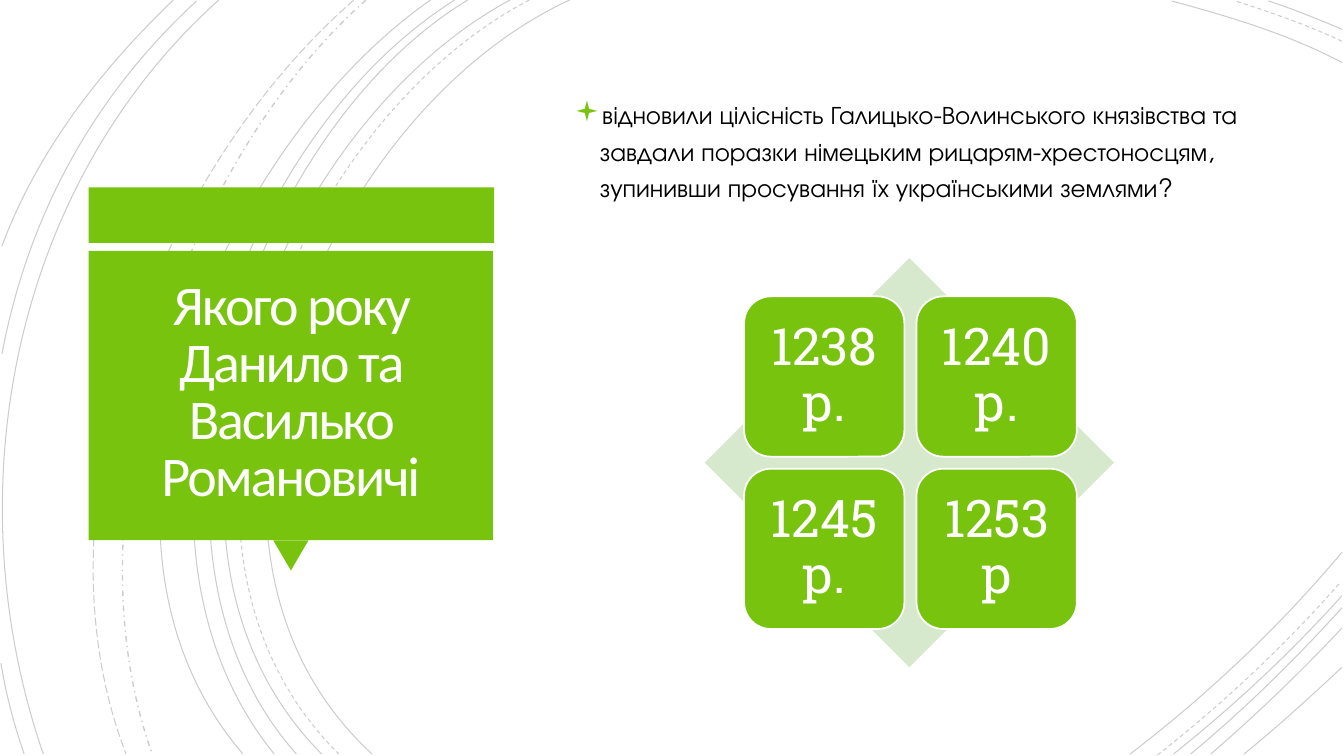
import pptx
import pptx.dml.color
import pptx.enum.dml
import pptx.enum.shapes
import pptx.enum.text
import pptx.oxml
import pptx.oxml.ns
import pptx.util
from dataclasses import dataclass
from lxml import etree

Inches = pptx.util.Inches
Pt = pptx.util.Pt
qn = pptx.oxml.ns.qn
Shape = pptx.enum.shapes.MSO_SHAPE
Dash = pptx.enum.dml.MSO_LINE
Align = pptx.enum.text.PP_ALIGN
Anchor = pptx.enum.text.MSO_ANCHOR


@dataclass(frozen=True)
class Theme:
    green: str = "78C30D"
    pale_green: str = "D6E9CC"
    white: str = "FFFFFF"
    title_white: str = "FFFEFF"
    black: str = "000000"
    title_size: int = 40
    body_size: int = 18
    answer_size: int = 37
    title_font: str = "Calibri"
    body_font: str = "TeX Gyre Adventor"
    answer_font: str = "Roboto Slab"


theme = Theme()
rgb = pptx.dml.color.RGBColor.from_string

presentation = pptx.Presentation()
presentation.slide_width = Inches(13.33)
presentation.slide_height = Inches(7.5)
slide = presentation.slides.add_slide(presentation.slide_layouts[6])
slide.background.fill.solid()
slide.background.fill.fore_color.rgb = rgb(theme.white)


def add_block(preset, left, top, width, height, color):
    shape = slide.shapes.add_shape(
        preset, Inches(left), Inches(top), Inches(width), Inches(height))
    shape.shadow.inherit = False
    shape.fill.solid()
    shape.fill.fore_color.rgb = rgb(color)
    shape.line.fill.background()
    return shape


def write_text(shape, text, *, size, font, color, align=Align.LEFT, anchor=Anchor.TOP,
               line_spacing=1.0, insets=(0.1, 0.05), tracking=None, bullet=None):
    frame = shape.text_frame
    frame.word_wrap = True
    frame.vertical_anchor = anchor
    frame.margin_left = frame.margin_right = Inches(insets[0])
    frame.margin_top = frame.margin_bottom = Inches(insets[1])
    paragraph = frame.paragraphs[0]
    paragraph.alignment = align
    paragraph.line_spacing = line_spacing
    if bullet:
        properties = paragraph._p.get_or_add_pPr()
        properties.set("marL", str(Inches(0.25)))
        properties.set("indent", str(Inches(-0.25)))
        namespace = pptx.oxml.ns.nsdecls("a")
        for element in (
            f'<a:buClr {namespace}><a:srgbClr val="{theme.green}"/></a:buClr>',
            f'<a:buSzPct {namespace} val="110000"/>',
            f'<a:buFont {namespace} typeface="Wingdings" charset="2"/>',
            f'<a:buChar {namespace} char="{bullet}"/>',
        ):
            properties.append(pptx.oxml.parse_xml(element))
    run = paragraph.add_run()
    run.text = text
    run.font.size = Pt(size)
    run.font.name = font
    run.font.color.rgb = rgb(color)
    if tracking is not None:
        run._r.get_or_add_rPr().set("spc", str(round(tracking * 100)))


# Background arcs: start, two control points and end of each cubic curve
solid_arcs = [
    ((5.65, 0), (3.15, 1.15), (1.43, 5.4), (3.69, 7.48)),
    ((13.31, 0.62), (12.78, 0.34), (12.18, 0.16), (11.62, 0.01)),
    ((11.21, 7.48), (11.97, 6.9), (12.69, 6.22), (13.31, 5.48)),
    ((5.06, 0), (2.7, 1.27), (1.1, 5.37), (3.19, 7.48)),
    ((13.31, 0.29), (13.07, 0.19), (12.83, 0.09), (12.58, 0.01)),
    ((11.64, 7.48), (12.23, 7.01), (12.8, 6.48), (13.31, 5.91)),
    ((4.64, 0), (2.44, 1.33), (1.1, 5.41), (2.94, 7.48)),
    ((11.81, 7.48), (12.34, 7.04), (12.84, 6.55), (13.31, 6.03)),
    ((4.51, 0), (2.31, 1.38), (0.97, 5.33), (2.72, 7.48)),
    ((12.01, 7.48), (12.46, 7.09), (12.9, 6.67), (13.31, 6.23)),
    ((4.27, 0), (2.17, 1.47), (0.53, 5.29), (2.41, 7.48)),
    ((12.34, 7.48), (12.67, 7.21), (12.99, 6.92), (13.31, 6.62)),
    ((2.17, 0), (0.11, 1.85), (-0.46, 4.9), (0.43, 7.48)),
    ((1.95, 0.01), (0.92, 0.96), (0.28, 2.14), (0.02, 3.51)),
    ((0.01, 6.58), (0.06, 6.89), (0.14, 7.19), (0.24, 7.48)),
    ((1.72, 0), (1, 0.69), (0.37, 1.5), (0.02, 2.44)),
]
dashed_arcs = [
    ((5.25, 0), (2.85, 1.25), (1.23, 5.37), (3.36, 7.48)),
    ((13.31, 0.41), (12.97, 0.25), (12.6, 0.12), (12.25, 0.01)),
    ((11.48, 7.49), (12.13, 6.98), (12.75, 6.4), (13.3, 5.77)),
]
dash_dot_arcs = [((3.63, 0), (1.76, 1.66), (0.65, 5.09), (1.51, 7.48))]
long_dash_arcs = [((3.51, 0), (1.57, 1.69), (0.29, 4.99), (1.25, 7.48))]

for arcs, dash, weight in (
    (solid_arcs, Dash.SOLID, 0.75),
    (dashed_arcs, Dash.DASH, 0.75),
    (dash_dot_arcs, Dash.DASH_DOT, 1),
    (long_dash_arcs, Dash.LONG_DASH, 0.75),
):
    for controls in arcs:
        points = [(Inches(x), Inches(y)) for x, y in controls]
        builder = slide.shapes.build_freeform(*points[0])
        builder.add_line_segments(points[1:], close=False)
        arc = builder.convert_to_shape()
        # Join the three segments into one cubic curve
        outline = arc._element.find(".//" + qn("a:path"))
        segments = outline.findall(qn("a:lnTo"))
        curve = etree.SubElement(outline, qn("a:cubicBezTo"))
        for segment in segments:
            curve.append(segment[0])
            outline.remove(segment)
        arc.shadow.inherit = False
        arc.fill.background()
        arc.line.width = Pt(weight)
        arc.line.color.rgb = rgb(theme.black)
        arc.line.dash_style = dash
        line_color = arc.line._ln.find(".//" + qn("a:srgbClr"))
        etree.SubElement(line_color, qn("a:alpha"), val="20000")

# Title panel with a pointer below
add_block(Shape.RECTANGLE, 0.88, 1.86, 4.02, 0.55, theme.green)
pointer = add_block(Shape.ISOSCELES_TRIANGLE, 2.71, 5.36, 0.35, 0.3, theme.green)
pointer.rotation = 180
add_block(Shape.RECTANGLE, 0.88, 2.49, 4.01, 2.87, theme.green)
title = slide.shapes.add_textbox(Inches(0.97), Inches(2.56), Inches(3.83), Inches(2.7))
write_text(title, "Якого року Данило та Василько Романовичі",
           size=theme.title_size, font=theme.title_font, color=theme.title_white,
           align=Align.CENTER, anchor=Anchor.MIDDLE, line_spacing=0.85,
           insets=(0.1, 0.1), tracking=-1.5)

# Question
question = slide.shapes.add_textbox(Inches(5.6), Inches(0.88), Inches(6.86), Inches(2.61))
write_text(question,
           "відновили цілісність Галицько-Волинського князівства та завдали поразки "
           "німецьким рицарям-хрестоносцям, зупинивши просування їх українськими землями?",
           size=theme.body_size, font=theme.body_font, color=theme.black,
           line_spacing=1.2, bullet="▪")

# Answers: two by two tiles over a diamond
add_block(Shape.DIAMOND, 6.99, 2.56, 4.06, 4.06, theme.pale_green)
tile_size, tile_pitch = 1.59, 1.71
for index, answer in enumerate(("1238 р.", "1240 р.", "1245 р.", "1253 р")):
    row, column = divmod(index, 2)
    tile = add_block(Shape.ROUNDED_RECTANGLE, 7.38 + column * tile_pitch,
                     2.94 + row * tile_pitch, tile_size, tile_size, theme.green)
    tile.line.color.rgb = rgb(theme.white)
    tile.line.width = Pt(1.25)
    write_text(tile, answer, size=theme.answer_size, font=theme.answer_font,
               color=theme.white, align=Align.CENTER, anchor=Anchor.MIDDLE,
               line_spacing=0.9, insets=(0.15, 0.15))

presentation.save("out.pptx")
